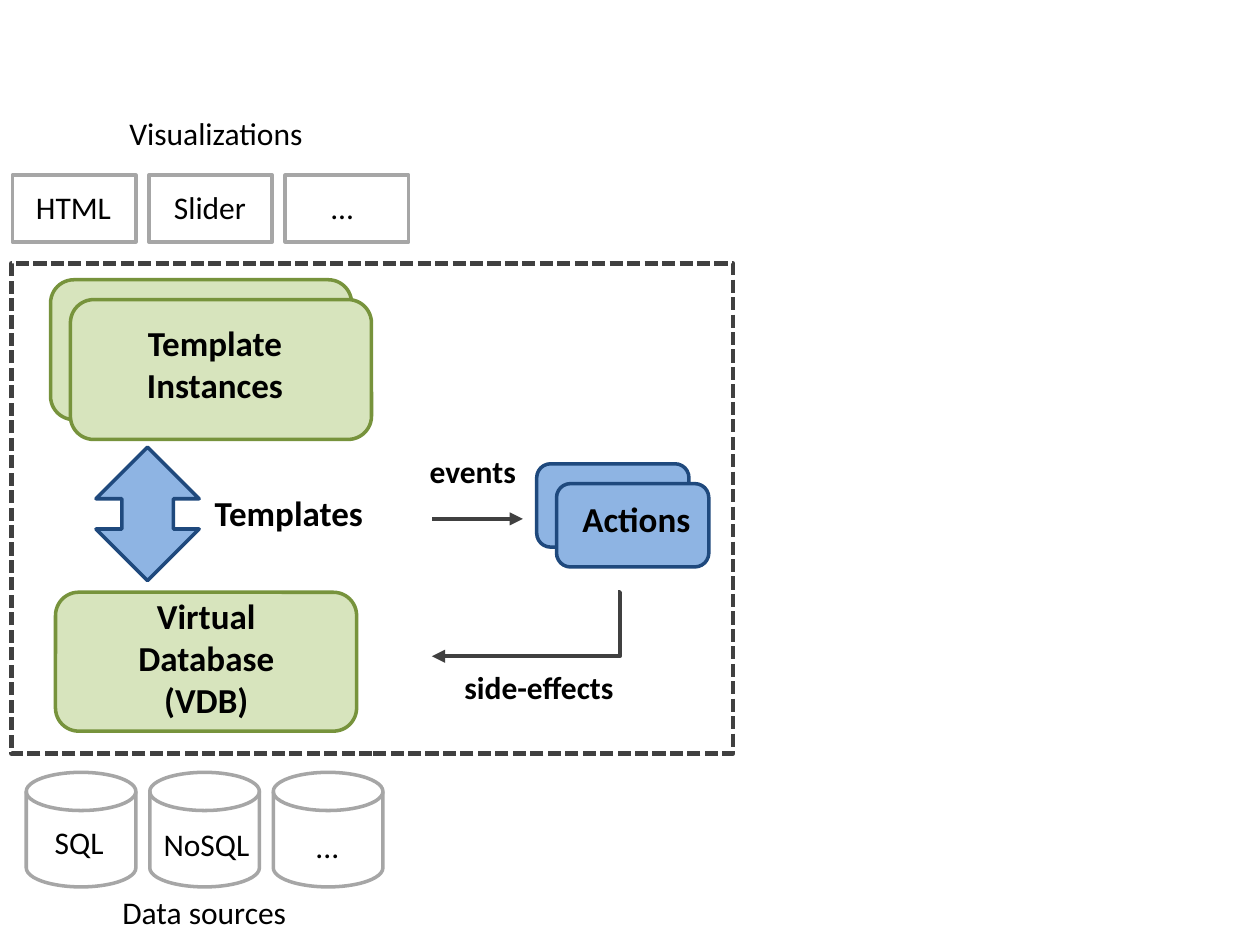
from dataclasses import dataclass

from lxml.etree import SubElement
from pptx import Presentation
from pptx.dml.color import RGBColor
from pptx.enum.dml import MSO_LINE as Dash
from pptx.enum.shapes import MSO_CONNECTOR as Link, MSO_SHAPE as Kind
from pptx.enum.text import MSO_AUTO_SIZE as Fit, PP_ALIGN as Align
from pptx.oxml.ns import qn
from pptx.util import Cm, Pt


@dataclass(frozen=True)
class Theme:
    """Colours, type sizes and line widths of the slide."""
    font: str = "Calibri"
    ink: str = "000000"
    dark: str = "404040"
    white: str = "FFFFFF"
    grey: str = "A6A6A6"
    green: str = "D7E4BD"
    moss: str = "77933C"
    blue: str = "8EB4E3"
    navy: str = "1F497D"
    big: int = 20
    small: int = 18
    thin: float = 2
    thick: float = 2.5


THEME = Theme()


def rgb(code):
    """Turn a hex code into a colour."""
    return RGBColor.from_string(code)


def add_box(slide, kind, at, fill, edge, width=THEME.thin):
    """Add a preset shape; at is left, top, width, height in cm."""
    box = slide.shapes.add_shape(kind, *map(Cm, at))
    box.shadow.inherit = False
    if fill:
        box.fill.solid()
        box.fill.fore_color.rgb = rgb(fill)
    else:
        box.fill.background()
    box.line.color.rgb = rgb(edge)
    box.line.width = Pt(width)
    return box


def add_stack(slide, at, shift, fill, edge):
    """Add two rounded cards, the front one moved down and right."""
    left, top, width, height = at
    for step in (0, shift):
        card = (left + step, top + step, width, height)
        add_box(slide, Kind.ROUNDED_RECTANGLE, card, fill, edge)


def add_label(slide, text, at, size=THEME.small, bold=False,
              align=Align.RIGHT):
    """Add unwrapped text; at is left, top, width, height in cm."""
    box = slide.shapes.add_textbox(*map(Cm, at))
    frame = box.text_frame
    frame.word_wrap = False
    frame.auto_size = Fit.SHAPE_TO_FIT_TEXT
    frame.text = text
    for para in frame.paragraphs:
        para.alignment = align
        for run in para.runs:
            font = run.font
            font.name = THEME.font
            font.size = Pt(size)
            font.bold = bold
            font.color.rgb = rgb(THEME.ink)


def add_arrow(slide, kind, ends, bend=None):
    """Add an arrow; ends are x, y, x, y in cm, bend sets the elbow."""
    arrow = slide.shapes.add_connector(kind, *map(Cm, ends))
    arrow.line.color.rgb = rgb(THEME.dark)
    arrow.line.width = Pt(THEME.thick)
    props = arrow._element.spPr
    SubElement(props.find(qn("a:ln")), qn("a:tailEnd"), type="triangle")
    SubElement(props, qn("a:effectLst"))
    if bend is not None:
        geom = props.find(qn("a:prstGeom"))
        guides = geom.find(qn("a:avLst"))
        if guides is None:
            guides = SubElement(geom, qn("a:avLst"))
        SubElement(guides, qn("a:gd"), name="adj1", fmla=f"val {bend}")


def add_row(slide, kind, at, pitch, labels):
    """Add evenly spaced grey shapes, each with its label."""
    left, top, width, height = at
    for i, (text, *spot) in enumerate(labels):
        place = (left + i * pitch, top, width, height)
        add_box(slide, kind, place, THEME.white, THEME.grey)
        add_label(slide, text, spot)


def add_views(slide):
    """Add the visualizations above the frame."""
    add_label(slide, "Visualizations", (2.29, 2.18, 4.06, 1.03))
    add_row(slide, Kind.RECTANGLE, (0.25, 3.53, 2.49, 1.35), 2.75, [
        ("HTML", 0.43, 3.66, 2.06, 1.03),
        ("Slider", 3.23, 3.66, 1.98, 1.03),
        ("...", 6.4, 3.66, 0.99, 1.03)])


def add_sources(slide):
    """Add the data sources below the frame."""
    add_row(slide, Kind.FLOWCHART_MAGNETIC_DISK,
            (0.53, 15.57, 2.21, 2.31), 2.49, [
                ("SQL", 0.84, 16.46, 1.5, 1.03),
                ("NoSQL", 3.02, 16.51, 2.26, 1.03),
                ("...", 6.1, 16.54, 0.99, 1.03)])
    add_label(slide, "Data sources", (2.16, 17.88, 3.86, 1.03))


def add_core(slide):
    """Add the dashed frame with templates, database and actions."""
    frame = add_box(slide, Kind.RECTANGLE, (0.23, 5.31, 14.55, 9.88),
                    None, THEME.dark, THEME.thick)
    frame.line.dash_style = Dash.SQUARE_DOT
    add_stack(slide, (1.02, 5.64, 6.07, 2.82), 0.4, THEME.green, THEME.moss)
    add_box(slide, Kind.ROUNDED_RECTANGLE, (1.12, 11.94, 6.07, 2.8),
            THEME.green, THEME.moss)
    swap = add_box(slide, Kind.LEFT_RIGHT_ARROW, (1.63, 9.32, 2.69, 2.08),
                   THEME.blue, THEME.navy)
    swap.rotation = 90
    add_stack(slide, (10.82, 9.35, 3.07, 1.68), 0.4, THEME.blue, THEME.navy)
    for text, at, size, align in [
            ("Template\nInstances", (2.67, 6.35, 3.33, 1.97),
             THEME.big, Align.CENTER),
            ("Virtual\nDatabase\n(VDB)", (2.51, 11.86, 3.3, 2.82),
             THEME.big, Align.CENTER),
            ("Templates", (3.96, 9.78, 3.61, 1.11), THEME.big, Align.RIGHT),
            ("Actions", (11.4, 9.91, 2.77, 1.11), THEME.big, Align.RIGHT),
            ("events", (8.36, 8.99, 2.29, 1.03), THEME.small, Align.RIGHT),
            ("side-effects", (9.04, 13.34, 3.58, 1.03),
             THEME.small, Align.RIGHT)]:
        add_label(slide, text, at, size, True, align)


def add_flow(slide):
    """Add the arrows to and from the actions."""
    add_arrow(slide, Link.STRAIGHT, (8.71, 10.46, 10.54, 10.46))
    add_arrow(slide, Link.ELBOW, (12.47, 11.94, 8.71, 13.23), -700)


def main():
    """Build the slide and save it."""
    deck = Presentation()
    deck.slide_width, deck.slide_height = Cm(25.4), Cm(19.05)
    slide = deck.slides.add_slide(deck.slide_layouts[6])
    add_views(slide)
    add_core(slide)
    add_flow(slide)
    add_sources(slide)
    deck.save("out.pptx")


main()
